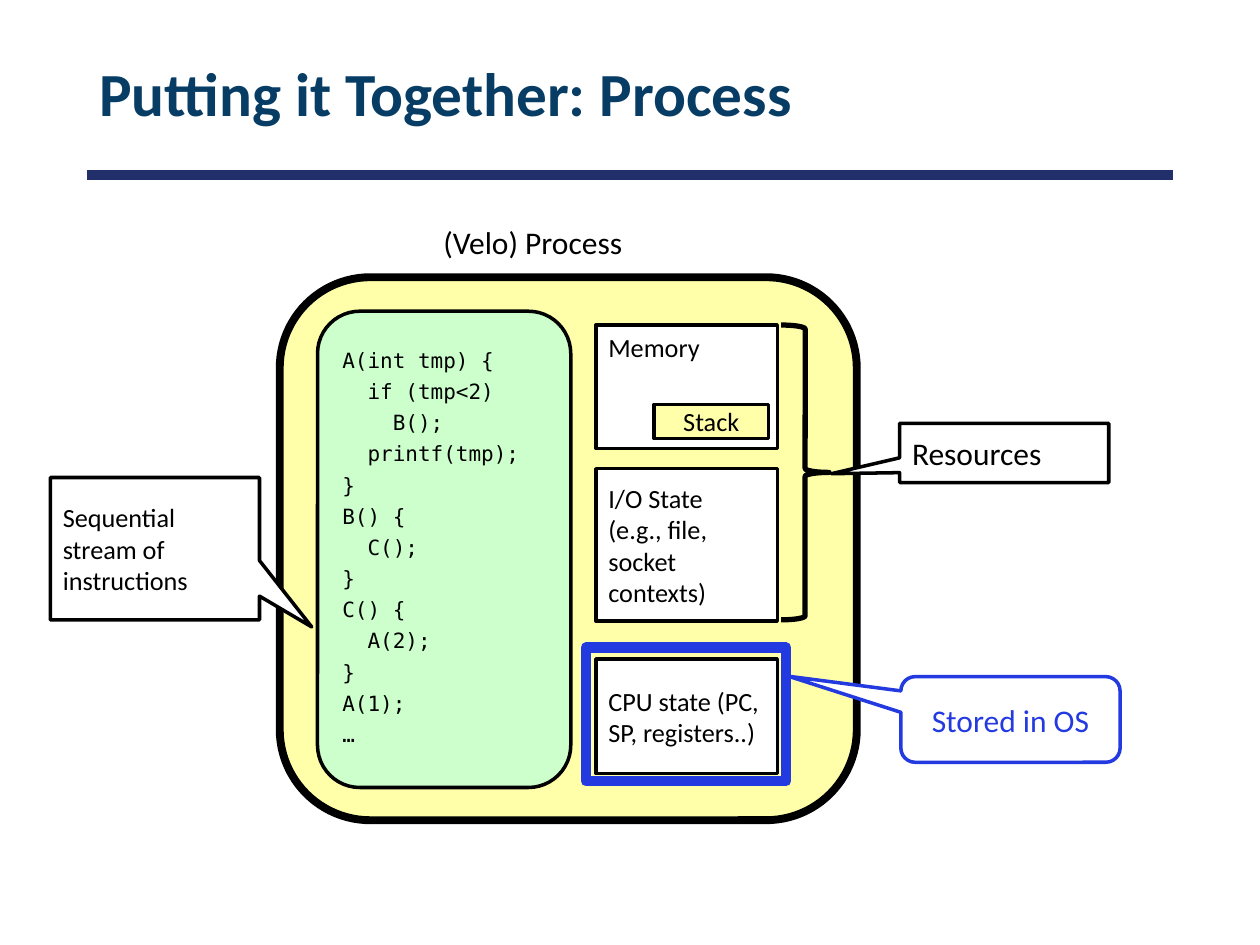
"""Build a slide showing the parts of a Velo process."""
import pptx
import pptx.dml.color
import pptx.enum.shapes
import pptx.enum.text
import pptx.oxml
import pptx.util
from pptx.util import Inches

RGBColor = pptx.dml.color.RGBColor
SHAPE = pptx.enum.shapes.MSO_SHAPE
ALIGN = pptx.enum.text.PP_ALIGN
ANCHOR = pptx.enum.text.MSO_ANCHOR

BLACK = RGBColor(0x00, 0x00, 0x00)
WHITE = RGBColor(0xFF, 0xFF, 0xFF)
YELLOW = RGBColor(0xFF, 0xFF, 0xAA)
GREEN = RGBColor(0xCC, 0xFF, 0xCC)
BLUE = RGBColor(0x23, 0x3A, 0xE1)
NAVY = RGBColor(0x21, 0x30, 0x6A)
TITLE_COLOR = RGBColor(0x07, 0x3C, 0x65)

TITLE = "Putting it Together: Process"
CAPTION = "(Velo) Process"
CODE = [
    "A(int tmp) {",
    "  if (tmp<2)",
    "    B();",
    "  printf(tmp);",
    "}",
    "B() {",
    "  C();",
    "}",
    "C() {",
    "  A(2);",
    "}",
    "A(1);",
    "…",
]
STATE_LEFT, STATE_WIDTH = 4.73, 1.44
STATES = [
    (2.58, 0.98, ["Memory"], ANCHOR.TOP),
    (3.72, 1.21, ["I/O State", "(e.g., file, socket contexts)"], ANCHOR.MIDDLE),
    (5.23, 0.91, ["CPU state (PC, SP, registers..)"], ANCHOR.MIDDLE),
]


def write_text(shape, lines, size=15, font="Calibri", color=BLACK, bold=False,
               align=ALIGN.LEFT, anchor=ANCHOR.MIDDLE, spacing=None, before=None):
    """Fill a shape with one paragraph per line in a single format."""
    frame = shape.text_frame
    frame.word_wrap = True
    frame.vertical_anchor = anchor
    for index, line in enumerate(lines):
        paragraph = frame.add_paragraph() if index else frame.paragraphs[0]
        paragraph.alignment = align
        paragraph.line_spacing = spacing
        if before is not None:
            paragraph.space_before = pptx.util.Pt(before)
        run = paragraph.add_run()
        run.text = line
        run.font.size = pptx.util.Pt(size)
        run.font.name = font
        run.font.bold = bold
        run.font.color.rgb = color


def add_box(slide, kind, box, fill=WHITE, line=BLACK, width=2, adjustments=()):
    """Add a preset shape with its fill, outline and adjustments."""
    shape = slide.shapes.add_shape(kind, *map(Inches, box))
    shape.shadow.inherit = False
    if fill is None:
        shape.fill.background()
    else:
        shape.fill.solid()
        shape.fill.fore_color.rgb = fill
    shape.line.color.rgb = line
    shape.line.width = pptx.util.Pt(width)
    for index, value in enumerate(adjustments):
        shape.adjustments[index] = value
    return shape


def add_header(slide):
    """Add the title and the rule under it."""
    left, width, rule_top = 0.69, 8.62, 1.39
    rule = slide.shapes.add_connector(
        pptx.enum.shapes.MSO_CONNECTOR.STRAIGHT,
        *map(Inches, (left, rule_top, left + width, rule_top)))
    rule.line.color.rgb = NAVY
    rule.line.width = pptx.util.Pt(6)
    properties = rule._element.spPr
    properties.append(properties.makeelement(pptx.oxml.ns.qn("a:effectLst"), {}))
    title = slide.shapes.add_textbox(*map(Inches, (left, 0.23, width, 1.08)))
    write_text(title, [TITLE], size=35, color=TITLE_COLOR, bold=True, spacing=0.9)


def add_process(slide):
    """Add the process with its state boxes, code and callouts."""
    add_box(slide, SHAPE.ROUNDED_RECTANGLE, (2.22, 2.2, 4.58, 4.31),
            fill=YELLOW, width=4.5, adjustments=[0.167])
    for top, height, lines, anchor in STATES:
        state = add_box(slide, SHAPE.RECTANGLE, (STATE_LEFT, top, STATE_WIDTH, height))
        write_text(state, lines, anchor=anchor)

    instructions = add_box(slide, SHAPE.RECTANGULAR_CALLOUT, (0.4, 3.79, 1.66, 1.13),
                           adjustments=[0.75, 0.55])
    write_text(instructions, ["Sequential stream of instructions"])
    code = add_box(slide, SHAPE.ROUNDED_RECTANGLE, (2.52, 2.47, 2.01, 3.78),
                   fill=GREEN, adjustments=[0.167])
    write_text(code, CODE, size=12, font="DejaVu Sans Mono", spacing=0.8, before=6.3)
    caption = slide.shapes.add_textbox(*map(Inches, (3.42, 1.72, 2.07, 0.49)))
    write_text(caption, [CAPTION], size=18, anchor=ANCHOR.TOP)

    add_box(slide, SHAPE.RIGHT_BRACE, (6.2, 2.58, 0.38, 2.34), fill=None, width=3,
            adjustments=[0.083, 0.5])
    resources = add_box(slide, SHAPE.RECTANGULAR_CALLOUT, (7.14, 3.36, 1.66, 0.47),
                        adjustments=[-0.826, 0.351])
    write_text(resources, ["Resources"], size=18)
    stack = add_box(slide, SHAPE.RECTANGLE, (5.19, 3.21, 0.91, 0.27), fill=YELLOW)
    write_text(stack, ["Stack"], align=ALIGN.CENTER)

    add_box(slide, SHAPE.RECTANGLE, (4.65, 5.14, 1.59, 1.06), fill=None, line=BLUE, width=6)
    stored = add_box(slide, SHAPE.ROUNDED_RECTANGULAR_CALLOUT, (7.15, 5.37, 1.74, 0.68),
                     line=BLUE, adjustments=[-1.013, -0.505, 0.167])
    write_text(stored, ["Stored in OS"], size=18, color=BLUE, align=ALIGN.CENTER)


def main():
    """Create the presentation and save it."""
    presentation = pptx.Presentation()
    presentation.slide_width = Inches(10)
    presentation.slide_height = Inches(7.5)
    slide = presentation.slides.add_slide(presentation.slide_layouts[6])
    add_header(slide)
    add_process(slide)
    presentation.save("out.pptx")


if __name__ == "__main__":
    main()
